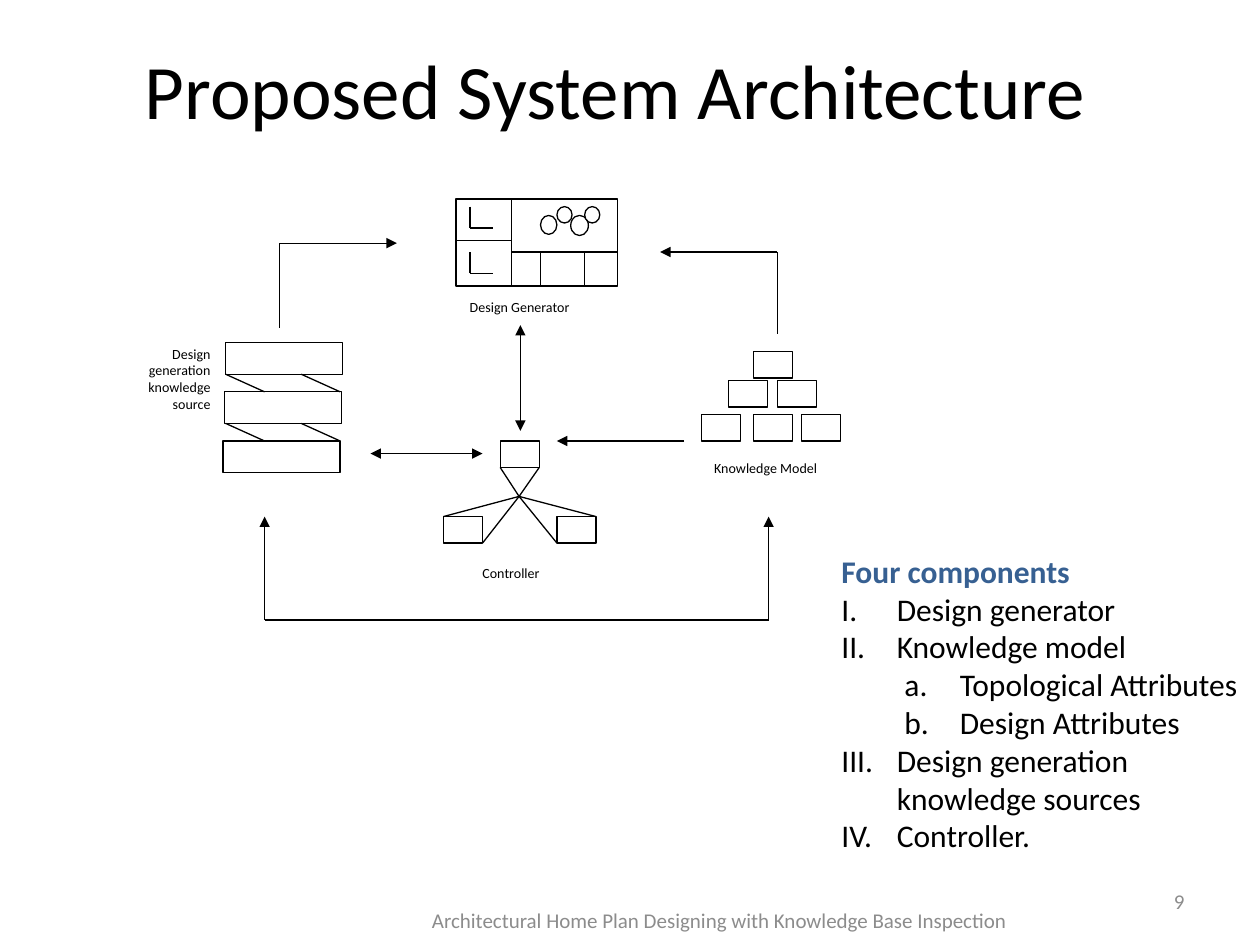
from lxml import etree
from pptx import Presentation
from pptx.dml.color import RGBColor
from pptx.enum import shapes as kinds, text as txt
from pptx.oxml import ns
from pptx.util import Inches, Pt

BLACK = RGBColor(0x00, 0x00, 0x00)
WHITE = RGBColor(0xFF, 0xFF, 0xFF)
BLUE = RGBColor(0x37, 0x60, 0x92)
GRAY = RGBColor(0x8C, 0x8C, 0x8C)
KIND = kinds.MSO_SHAPE
ALIGN = txt.PP_ALIGN
MID = txt.MSO_ANCHOR.MIDDLE


def style(para, size, color, align=ALIGN.LEFT, bold=False):
    para.alignment = align
    font = para.font
    font.name, font.size, font.bold = "Calibri", Pt(size), bold
    font.color.rgb = color


def shape(slide, x, y, w, h, kind=KIND.RECTANGLE, edge=True):
    item = slide.shapes.add_shape(kind, Inches(x), Inches(y), Inches(w), Inches(h))
    item.shadow.inherit = False
    item.fill.solid()
    item.fill.fore_color.rgb = WHITE
    if edge:
        item.line.color.rgb = BLACK
        item.line.width = Pt(0.75)
    else:
        item.line.fill.background()
    return item


def line(slide, x1, y1, x2, y2, head=False, tail=False):
    item = slide.shapes.add_connector(
        kinds.MSO_CONNECTOR.STRAIGHT, Inches(x1), Inches(y1), Inches(x2), Inches(y2))
    item.line.color.rgb = BLACK
    item.line.width = Pt(0.75)
    props = item.line._get_or_add_ln()
    for tag, on in (("a:headEnd", head), ("a:tailEnd", tail)):
        if on:
            etree.SubElement(props, ns.qn(tag), type="triangle")
    etree.SubElement(item._element.spPr, ns.qn("a:effectLst"))


def label(slide, x, y, w, h, words, align=ALIGN.LEFT):
    frame = shape(slide, x, y, w, h, edge=False).text_frame
    frame.word_wrap = True
    frame.vertical_anchor = txt.MSO_ANCHOR.TOP
    para = frame.paragraphs[0]
    para.text = words
    para.space_after = Pt(10)
    style(para, 8, BLACK, align)


def textbox(slide, x, y, w, h, words, size, color, align):
    frame = slide.shapes.add_textbox(
        Inches(x), Inches(y), Inches(w), Inches(h)).text_frame
    frame.word_wrap = True
    frame.vertical_anchor = MID
    para = frame.paragraphs[0]
    para.text = words
    style(para, size, color, align)


def generator(slide, x, y, w, h):
    wall, floor = x + 0.44, y + 0.42
    shape(slide, x, y, w, h)
    line(slide, wall, y, wall, y + h)
    line(slide, wall, floor, x + w, floor)
    line(slide, x, y + 0.33, wall, y + 0.33)
    for dx in (0.67, 1.02):
        line(slide, x + dx, floor, x + dx, y + h)
    for dy in (0.06, 0.42):
        line(slide, x + 0.11, y + dy, x + 0.11, y + dy + 0.17)
        line(slide, x + 0.11, y + dy + 0.17, x + 0.29, y + dy + 0.17)
    for dx, dy, dw, dh in ((0.91, 0.13, 0.14, 0.16), (0.8, 0.06, 0.12, 0.13),
                           (0.67, 0.13, 0.13, 0.15), (1.02, 0.06, 0.12, 0.13)):
        shape(slide, x + dx, y + dy, dw, dh, KIND.FLOWCHART_CONNECTOR)
    label(slide, x + 0.01, y + 0.74, 1.26, 0.28, "Design Generator")


def sources(slide, x, y, w, h):
    step = 0.39
    label(slide, x - 0.87, y - 0.03, 0.85, 1.04,
          "Design generation knowledge source", ALIGN.RIGHT)
    for i in range(3):
        shape(slide, x - 0.01 * i, y + step * i, w, h)
    for i in range(2):
        for dx in (0, 0.6):
            line(slide, x + dx, y + step * i + h,
                 x + dx + 0.31, y + step * (i + 1))


def control(slide, x, y, w, h):
    label(slide, x + 0.21, y + 0.93, 0.95, 0.34, "Controller")
    for dx, dy in ((0.45, 0), (0.9, 0.6), (0, 0.6)):
        shape(slide, x + dx, y + dy, w, h)
    for dx, dy in ((0.45, h), (0.76, h), (0, 0.6), (1.21, 0.6),
                   (w, 0.6 + h), (0.9, 0.6 + h)):
        line(slide, x + 0.6, y + 0.44, x + dx, y + dy)


def model(slide, x, y, w, h):
    label(slide, x, y + 0.81, 1.26, 0.34, "Knowledge Model")
    for dy, row in ((0, (0.41,)), (0.23, (0.21, 0.6)), (0.5, (0, 0.41, 0.79))):
        for dx in row:
            shape(slide, x + dx, y + dy, w, h)


def arrows(slide, x, y):
    for x1, y1, x2, y2, head, tail in (
            (0.12, 0.67, 0.12, 0, False, False),
            (0.12, 0, 1.05, 0, False, True),
            (4.07, 0.72, 4.07, 0.07, False, False),
            (4.07, 0.07, 3.14, 0.07, False, True),
            (3.33, 1.57, 2.32, 1.57, False, True),
            (0, 2.99, 0, 2.17, False, True),
            (4, 2.99, 4, 2.17, False, True),
            (0, 2.99, 4, 2.99, False, False),
            (1.73, 1.67, 0.84, 1.67, True, True),
            (2.03, 0.65, 2.03, 1.49, True, True)):
        line(slide, x + x1, y + y1, x + x2, y + y2, head, tail)


def parts(slide, x, y, w, h):
    frame = slide.shapes.add_textbox(
        Inches(x), Inches(y), Inches(w), Inches(h)).text_frame
    frame.word_wrap = True
    roman, alpha = "romanUcPeriod", "alphaLcPeriod"
    rows = (("Four components", 0, None), ("Design generator", 0, roman),
            ("Knowledge model", 0, roman), ("Topological Attributes", 1, alpha),
            ("Design Attributes", 1, alpha), ("Design generation", 0, roman),
            ("\tknowledge sources", 0, None), ("IV.\tController.", 0, None))
    for i, (words, level, mark) in enumerate(rows):
        para = frame.paragraphs[0] if i == 0 else frame.add_paragraph()
        para.text = words
        para.level = level
        style(para, 18, BLACK if i else BLUE, bold=i == 0)
        props = para._p.get_or_add_pPr()
        props.set("marL", str(Inches(0.44 + 0.5 * level)))
        props.set("indent", str(Inches(-0.44)))
        if mark:
            bullet = etree.Element(ns.qn("a:buAutoNum"), type=mark)
            props.insert(0, bullet)


def main():
    deck = Presentation()
    deck.slide_width, deck.slide_height = Inches(10), Inches(7.5)
    slide = deck.slides.add_slide(deck.slide_layouts[6])
    textbox(slide, 0.6, 0.08, 8.57, 1.25, "Proposed System Architecture",
            44, BLACK, ALIGN.CENTER)
    generator(slide, 3.62, 1.58, 1.28, 0.69)
    sources(slide, 1.79, 2.72, 0.93, 0.25)
    control(slide, 3.52, 3.5, 0.31, 0.21)
    model(slide, 5.57, 2.79, 0.31, 0.21)
    arrows(slide, 2.1, 1.93)
    parts(slide, 6.58, 4.33, 3.5, 2.52)
    textbox(slide, 7.17, 6.95, 2.33, 0.4, "9", 12, GRAY, ALIGN.RIGHT)
    textbox(slide, 2.5, 7.1, 6.42, 0.4,
            "Architectural Home Plan Designing with Knowledge Base Inspection",
            12, GRAY, ALIGN.CENTER)
    deck.save("out.pptx")


if __name__ == "__main__":
    main()
